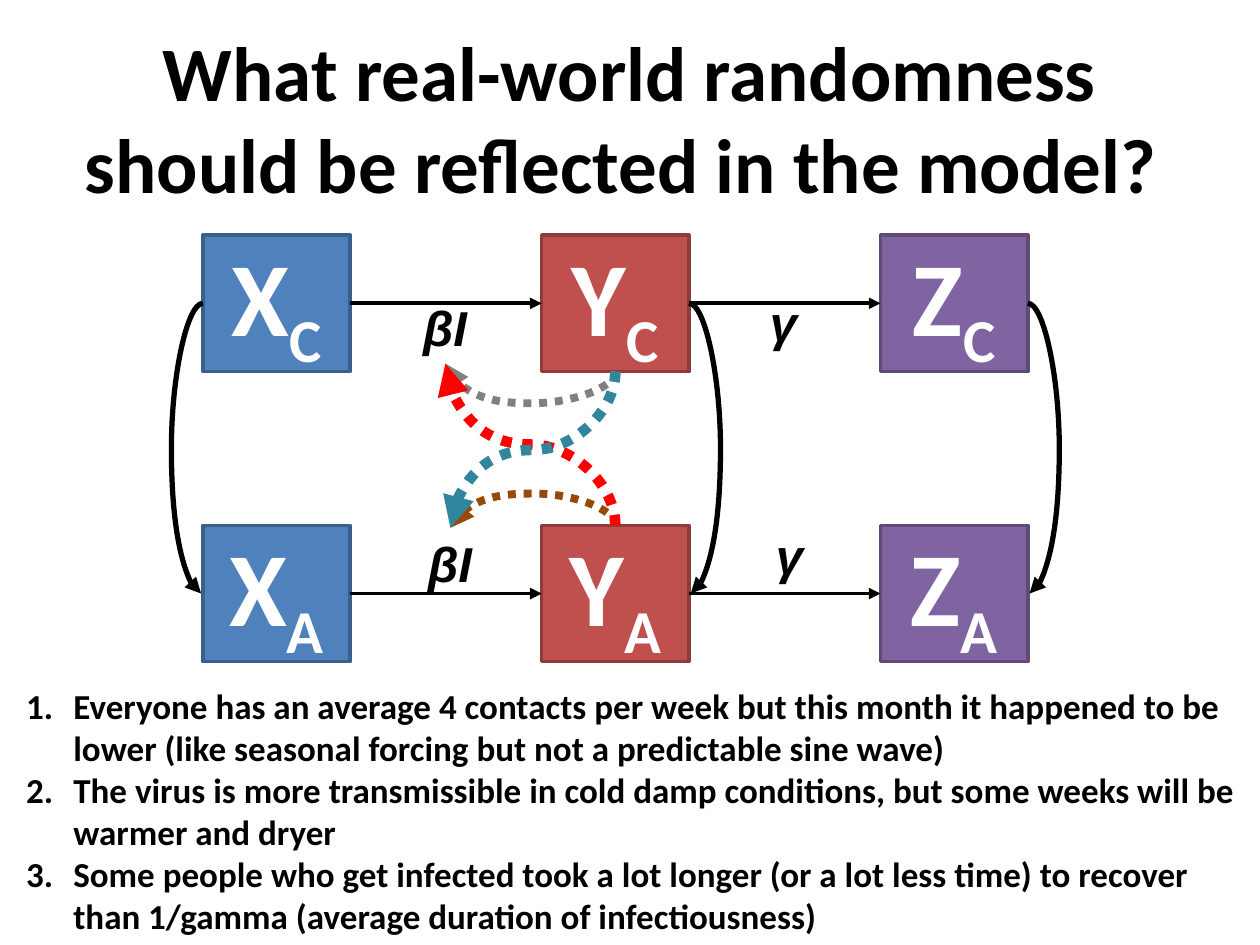
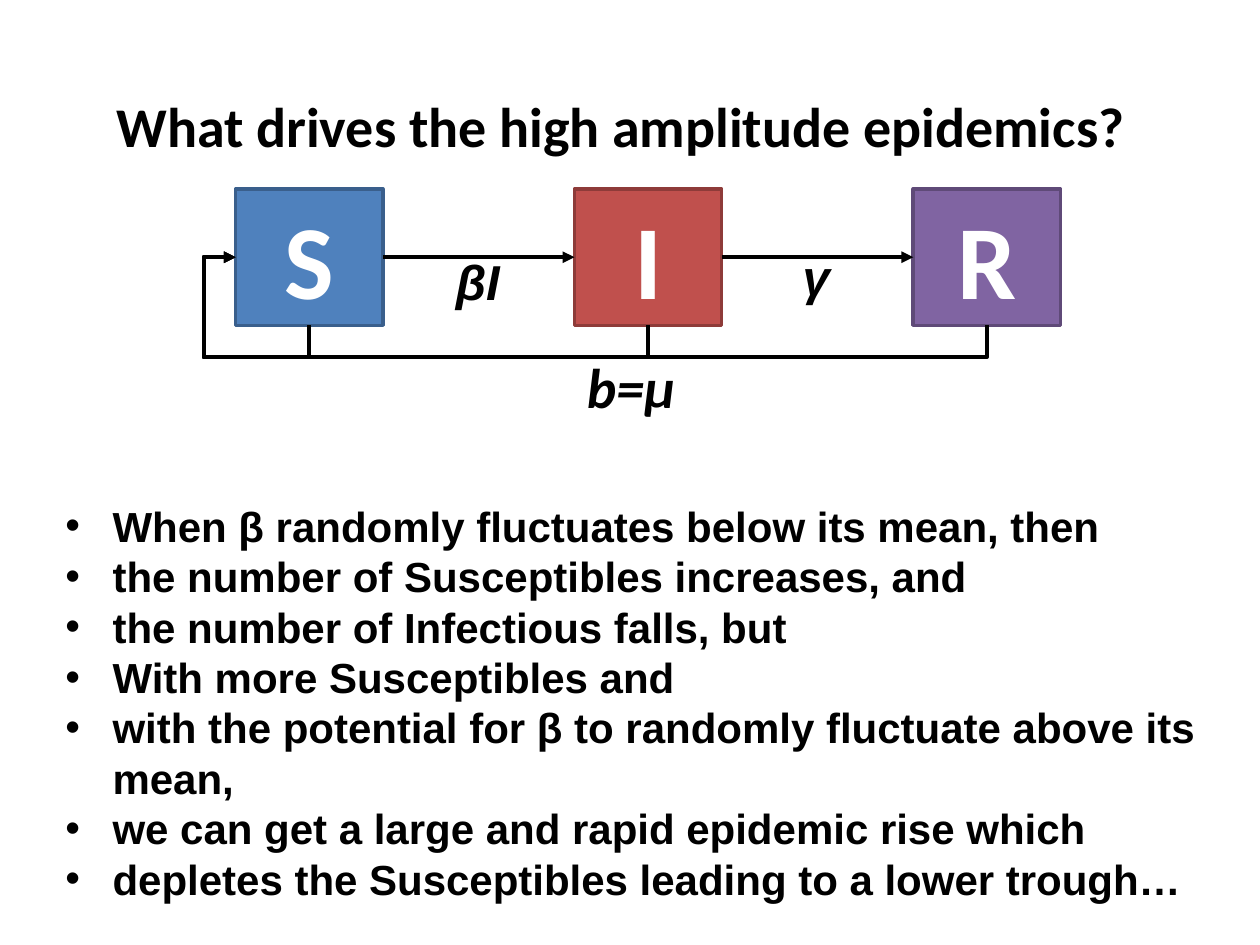
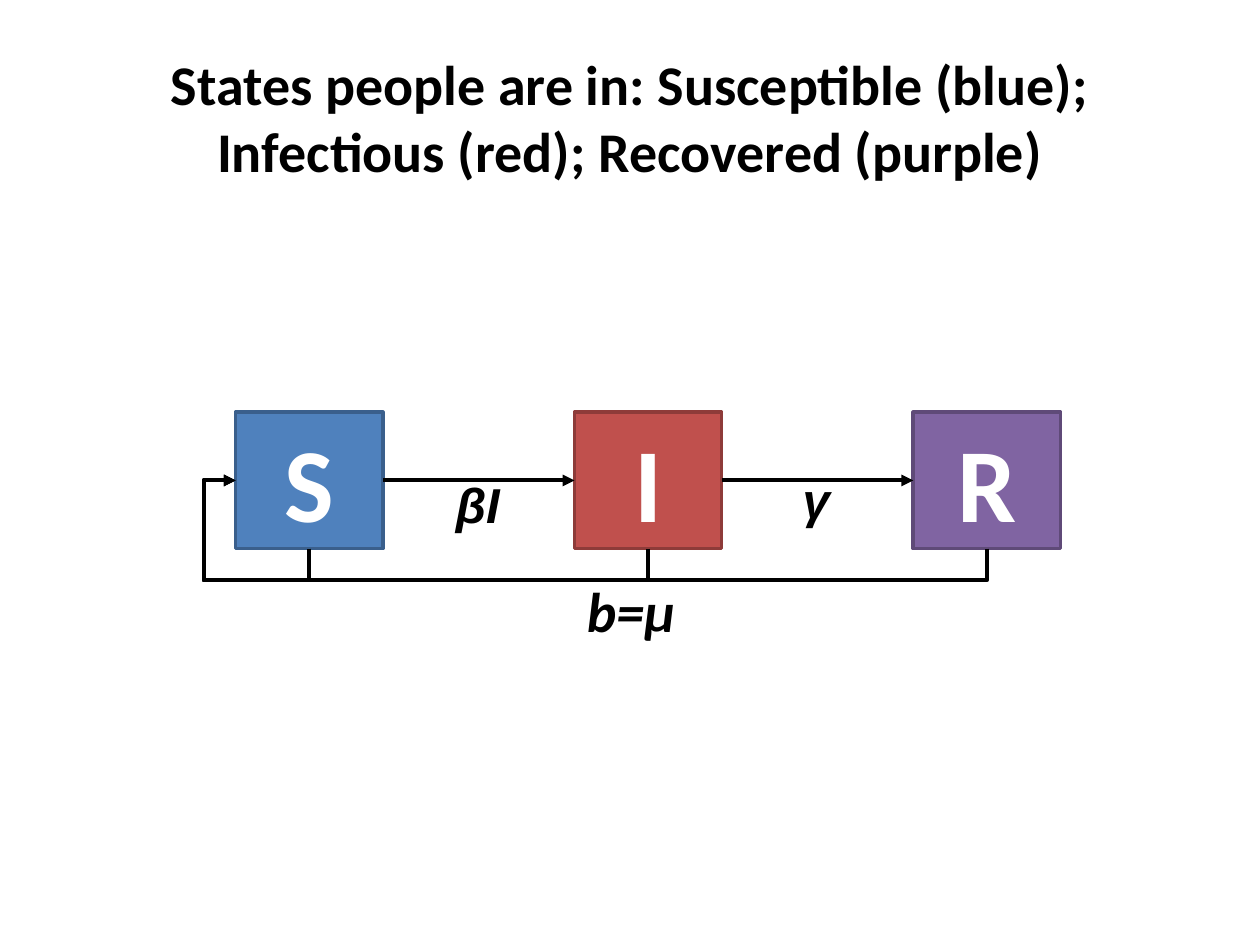
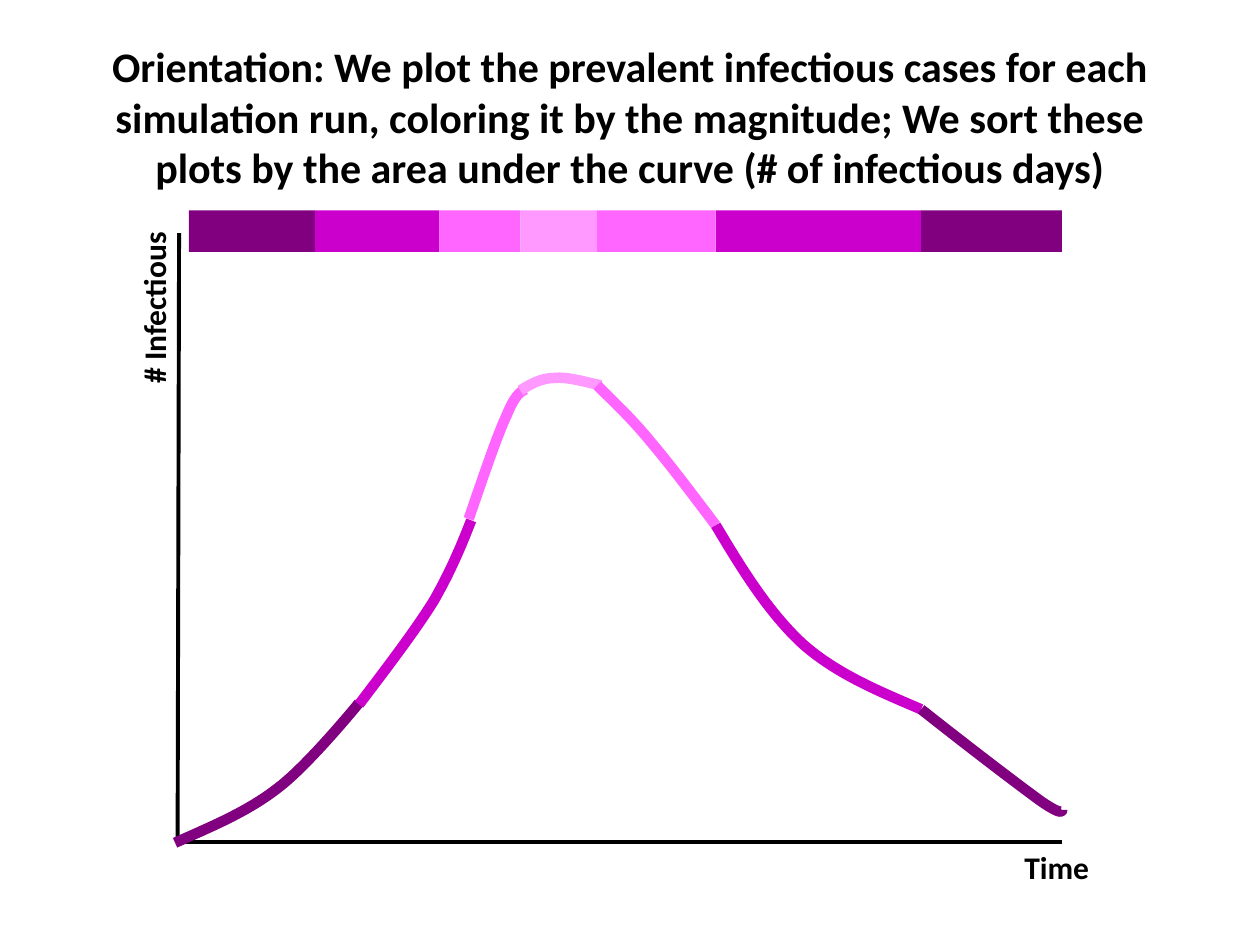
from dataclasses import dataclass
from itertools import pairwise
from math import copysign

from lxml import etree
from pptx import Presentation
from pptx.dml.color import RGBColor
from pptx.enum.dml import MSO_LINE
from pptx.enum.shapes import MSO_CONNECTOR, MSO_SHAPE
from pptx.enum.text import MSO_ANCHOR, MSO_AUTO_SIZE, PP_ALIGN
from pptx.oxml.ns import qn
from pptx.util import Cm, Pt

RECT = MSO_SHAPE.RECTANGLE
LINE, BENT, CURVE = MSO_CONNECTOR.STRAIGHT, MSO_CONNECTOR.ELBOW, MSO_CONNECTOR.CURVE
DOTS = MSO_LINE.ROUND_DOT
LEFT, CENTER = PP_ALIGN.LEFT, PP_ALIGN.CENTER
TOP, MIDDLE = MSO_ANCHOR.TOP, MSO_ANCHOR.MIDDLE
FIT, FIXED = MSO_AUTO_SIZE.SHAPE_TO_FIT_TEXT, MSO_AUTO_SIZE.NONE

# Connection sites of a rectangle
NORTH, WEST, SOUTH, EAST = range(4)

COLORS = {
    "black": "000000", "white": "FFFFFF",
    "blue": "4F81BD", "blue edge": "3A5F8C",
    "red": "C0504D", "red edge": "8E3B39",
    "purple": "8064A2", "purple edge": "5F4A78",
    "brown": "984807", "gray": "808080", "bright": "FF0000", "teal": "31859C",
    "dark": "800080", "deep": "CC00CC", "pink": "FF66FF", "pale": "FF99FF",
}

# Compartment grid, in cm
WIDE, HIGH, STEP = 2.97, 2.75, 6.83
HUES = ("blue", "red", "purple")
BEND = Cm(0.64)
THIN = Pt(1)


@dataclass
class Area:
    x: float
    y: float
    w: float
    h: float

    def cm(self) -> tuple:
        return Cm(self.x), Cm(self.y), Cm(self.w), Cm(self.h)


@dataclass
class Label:
    text: str
    dx: float
    dy: float
    w: float


@dataclass
class Phase:
    hue: str
    end: float      # right edge in the colour bar
    dots: list      # start, then three points for each Bézier


@dataclass
class Loop:
    source: int     # row of the Y box
    target: int     # row of the label
    hue: str
    width: float
    bend: float


HIGH_TAGS = (Label("βI", 4.19, 1.14, 1.4), Label("γ", 11.18, 1.04, 1.07))
LOW_TAGS = (Label("βI", 4.29, 0.05, 1.4), Label("γ", 11.3, -0.12, 1.07))
LOOPS = (
    Loop(1, 1, "brown", 4.5, -0.64), Loop(0, 0, "gray", 4.5, 0.64),
    Loop(1, 0, "bright", 6, -1.63), Loop(0, 1, "teal", 6, 1.58),
)
PHASES = (
    Phase("dark", 6.35, [(3.53, 16.99), (4.27, 16.66), (5, 16.36), (5.61, 15.88),
                         (6.22, 15.42), (7.24, 14.17), (7.24, 14.17)]),
    Phase("deep", 8.86, [(7.24, 14.2), (7.8, 13.46), (8.36, 12.73), (8.74, 12.12),
                         (9.09, 11.51), (9.3, 11), (9.5, 10.49)]),
    Phase("pink", 10.49, [(9.45, 10.46), (9.73, 9.65), (10.01, 8.81), (10.21, 8.38),
                          (10.39, 7.95), (10.49, 7.9), (10.59, 7.85)]),
    Phase("pale", 12.04, [(10.49, 7.87), (10.69, 7.75), (10.9, 7.62), (11.18, 7.62),
                          (11.43, 7.59), (11.79, 7.7), (12.12, 7.77)]),
    Phase("pink", 14.43, [(12.04, 7.77), (12.37, 8.1), (12.73, 8.43), (13.13, 8.92),
                          (13.51, 9.37), (13.97, 9.98), (14.43, 10.59)]),
    Phase("deep", 18.57, [(14.43, 10.59), (14.96, 11.48), (15.49, 12.34), (16.18, 12.98),
                          (16.87, 13.59), (17.73, 13.94), (18.57, 14.3)]),
    Phase("dark", 21.41, [(18.57, 14.3), (19.53, 15.06), (20.5, 15.8), (20.98, 16.15),
                          (21.46, 16.48), (21.41, 16.33), (21.41, 16.33)]),
)


def rgb(name: str) -> RGBColor:
    return RGBColor.from_string(COLORS[name])


# Text
def write(shape, lines, font="Calibri", size=18, color="black", italic=False,
          align=LEFT, anchor=TOP, wrap=True, grow=True, mark=None, sub="",
          tail=None):
    """Fill a shape; sub is a subscript, tail a (text, size) after the last line."""
    frame = shape.text_frame
    frame.word_wrap = wrap
    frame.auto_size = FIT if grow else FIXED
    frame.vertical_anchor = anchor
    lines = [lines] if isinstance(lines, str) else lines
    for i, line in enumerate(lines):
        para = frame.add_paragraph() if i else frame.paragraphs[0]
        para.alignment = align
        if mark:
            props = para._p.get_or_add_pPr()
            props.set("marL", str(Cm(0.95)))
            props.set("indent", str(-Cm(0.95)))
            if mark == "1.":
                etree.SubElement(props, qn("a:buAutoNum"), type="arabicPeriod")
            else:
                etree.SubElement(props, qn("a:buFont"), typeface="Arial")
                etree.SubElement(props, qn("a:buChar"), char=mark)
        parts = [(line, size)]
        if sub:
            parts.append((sub, size))
        if tail and i == len(lines) - 1:
            parts.append(tail)
        for j, (text, points) in enumerate(parts):
            run = para.add_run()
            run.text = text
            face = run.font
            face.name, face.size = font, Pt(points)
            face.bold, face.italic = True, italic
            face.color.rgb = rgb(color)
            if sub and j == 1:
                run._r.get_or_add_rPr().set("baseline", "-25000")


def note(slide, area: Area, lines, **style):
    shape = slide.shapes.add_textbox(*area.cm())
    write(shape, lines, **style)
    return shape


def title(slide, text: str, size: float, **style):
    note(slide, Area(1.27, 0.76, 22.86, 3.18), text, size=size, align=CENTER,
         anchor=MIDDLE, grow=False, **style)


# Shapes and lines
def block(slide, area: Area, hue: str, edge: str = ""):
    shape = slide.shapes.add_shape(RECT, *area.cm())
    shape.shadow.inherit = False
    shape.fill.solid()
    shape.fill.fore_color.rgb = rgb(hue)
    if edge:
        shape.line.color.rgb = rgb(edge)
        shape.line.width = Pt(2)
    else:
        shape.line.fill.background()
    return shape


def stroke(link, hue="black", width=2.25, dash=None, arrow=True):
    link.line.color.rgb = rgb(hue)
    link.line.width = Pt(width)
    if dash:
        link.line.dash_style = dash
    props = link._element.spPr
    if arrow:
        etree.SubElement(props.find(qn("a:ln")), qn("a:tailEnd"), type="triangle")
    etree.SubElement(props, qn("a:effectLst"))


def join(slide, kind, start: tuple, end: tuple, bend=None, out=None, **style):
    """Glue two (shape, site) pairs; bend and out are offsets of the inner legs."""
    link = slide.shapes.add_connector(kind, 0, 0, 0, 0)
    link.begin_connect(*start)
    link.end_connect(*end)
    if bend is not None:
        x, y = link.begin_x, link.begin_y
        dx, dy = link.end_x - x, link.end_y - y
        upright = start[1] in (NORTH, SOUTH)
        if upright:
            dy = dy or int(copysign(THIN, bend))
            along, across = dy, dx
            flips = dy < 0, dx > 0
        else:
            dx = dx or int(copysign(THIN, bend))
            along, across = dx, dy
            flips = dx < 0, dy < 0
        wide, high = abs(along), abs(across)
        link.left = x + (dx - wide) // 2
        link.top = y + (dy - high) // 2
        link.width, link.height = wide, high
        props = link._element.spPr
        frame = props.find(qn("a:xfrm"))
        frame.set("rot", "5400000" if upright else "0")
        for key, flip in zip(("flipH", "flipV"), flips):
            frame.set(key, str(int(flip)))
        shape = props.find(qn("a:prstGeom"))
        ratios = [bend / along]
        if out is not None:
            shape.set("prst", "bentConnector4")
            ratios.append(out / across)
        for i, ratio in enumerate(ratios, 1):
            etree.SubElement(shape.find(qn("a:avLst")), qn("a:gd"), name=f"adj{i}",
                             fmla=f"val {round(ratio * 100000)}")
    stroke(link, **style)


def axis(slide, *ends: float):
    stroke(slide.shapes.add_connector(LINE, *map(Cm, ends)), arrow=False)


def curve(slide, dots: list, hue: str):
    """Draw an open outline whose points form cubic Béziers."""
    spots = [(Cm(x), Cm(y)) for x, y in dots]
    maker = slide.shapes.build_freeform(*spots[0])
    maker.add_line_segments(spots[1:], close=False)
    shape = maker.convert_to_shape()
    shape.shadow.inherit = False
    shape.fill.background()
    shape.line.color.rgb = rgb(hue)
    shape.line.width = Pt(6)
    legs = list(shape._element.iter(qn("a:lnTo")))
    for i in range(0, len(legs), 3):
        cubic = etree.Element(qn("a:cubicBezTo"))
        legs[i].addprevious(cubic)
        for leg in legs[i:i + 3]:
            cubic.append(leg[0])
            leg.getparent().remove(leg)


# Compartment diagrams
def chain(slide, x: float, y: float, names: str, tags: tuple, sub="", wrap=False):
    """Draw a row of boxes with arrows and rate labels; return both lists."""
    boxes = []
    for i, (name, hue) in enumerate(zip(names, HUES)):
        box = block(slide, Area(x + i * STEP, y, WIDE, HIGH), hue, f"{hue} edge")
        write(box, name, size=60, color="white", align=CENTER, anchor=MIDDLE,
              grow=False, sub=sub)
        boxes.append(box)
    for left, right in pairwise(boxes):
        join(slide, LINE, (left, EAST), (right, WEST))
    rates = [note(slide, Area(x + tag.dx, y + tag.dy, tag.w, 1.45), tag.text,
                  font="Arial", size=28, italic=True, wrap=wrap) for tag in tags]
    return boxes, rates


def cycle(slide, y: float):
    """Draw the S, I, R row with births and deaths leading back to S."""
    boxes, _ = chain(slide, 4.75, y, "SIR", HIGH_TAGS)
    first = boxes[0]
    for box in boxes:
        out = first.left - BEND - (box.left + box.width // 2)
        join(slide, BENT, (box, SOUTH), (first, WEST), bend=BEND, out=out)
    note(slide, Area(11.58, y + 3.18, 8.05, 1.63), "b=μ", size=32, italic=True)


def risks(slide):
    title(slide, "What real-world randomness should be reflected in the model? ", 44)
    rows = [chain(slide, 4.09, 4.74, "XYZ", HIGH_TAGS, sub="C"),
            chain(slide, 4.09, 10.59, "XYZ", LOW_TAGS, sub="A", wrap=True)]
    sides = (SOUTH, NORTH)
    for loop in LOOPS:
        join(slide, CURVE, (rows[loop.source][0][1], sides[loop.source]),
             (rows[loop.target][1][0], sides[loop.target]), bend=Cm(loop.bend),
             hue=loop.hue, width=loop.width, dash=DOTS)
    # Ageing from the upper row to the lower one
    for upper, lower, side in zip(rows[0][0], rows[1][0], (WEST, EAST, EAST)):
        join(slide, CURVE, (upper, side), (lower, side),
             bend=-BEND if side == WEST else BEND, width=3)
    note(slide, Area(0.28, 13.67, 24.87, 5.38), [
        "Everyone has an average 4 contacts per week but this month it happened "
        "to be lower (like seasonal forcing but not a predictable sine wave)",
        "The virus is more transmissible in cold damp conditions, but some weeks "
        "will be warmer and dryer",
        "Some people who get infected took a lot longer (or a lot less time) to "
        "recover than 1/gamma (average duration of infectiousness)",
    ], size=20, mark="1.")


def drivers(slide):
    title(slide, "What drives the high amplitude epidemics?", 32, tail=(" ", 44))
    cycle(slide, 3.81)
    note(slide, Area(1.07, 9.96, 23.5, 8.46), [
        "When β randomly fluctuates below its mean, then",
        "the number of Susceptibles increases, and",
        "the number of Infectious falls, but",
        "With more Susceptibles and",
        "with the potential for β to randomly fluctuate above its mean,",
        "we can get a large and rapid epidemic rise which",
        "depletes the Susceptibles leading to a lower trough…",
    ], font="Arial", size=24, mark="•")


def states(slide):
    title(slide, "States people are in: Susceptible (blue); Infectious (red); "
          "Recovered (purple)", 32)
    cycle(slide, 8.31)


def plot(slide):
    axis(slide, 3.61, 4.7, 3.58, 16.97)
    axis(slide, 21.41, 16.97, 3.61, 16.97)
    note(slide, Area(20.4, 16.97, 2.03, 1.02), "Time")
    note(slide, Area(0.94, 5.31, 4.32, 1.02), "# Infectious").rotation = 270
    title(slide, "Orientation: We plot the prevalent infectious cases for each "
          "simulation run, coloring it by the magnitude; We sort these plots by "
          "the area under the curve (# of infectious days)", 24)
    left = 3.81
    for phase in PHASES:
        curve(slide, phase.dots, phase.hue)
        block(slide, Area(left, 4.24, phase.end - left, 0.84), phase.hue)
        left = phase.end


def main():
    deck = Presentation()
    deck.slide_width, deck.slide_height = Cm(25.4), Cm(19.05)
    for draw in (risks, drivers, states, plot):
        draw(deck.slides.add_slide(deck.slide_layouts[6]))
    deck.save("out.pptx")


if __name__ == "__main__":
    main()
